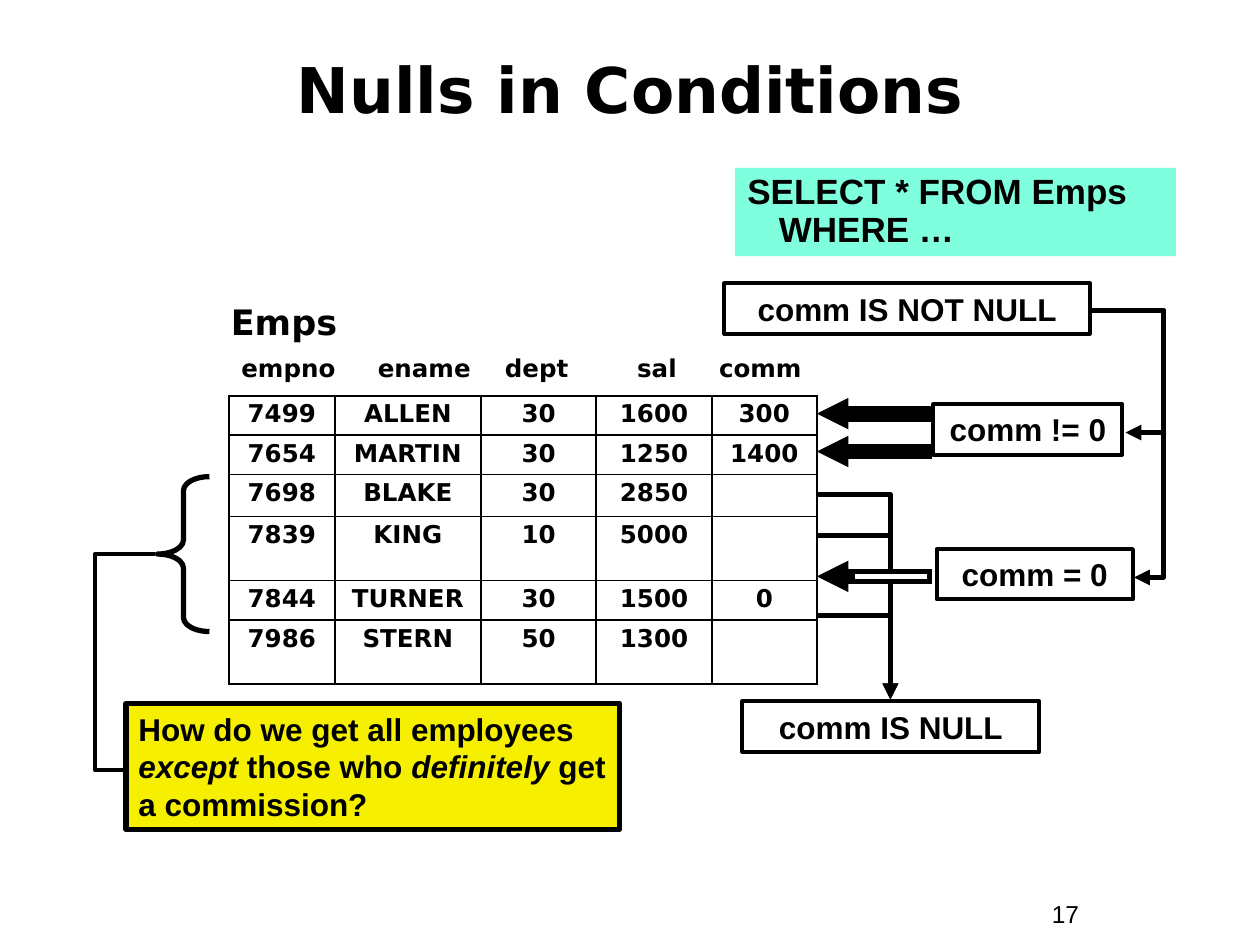
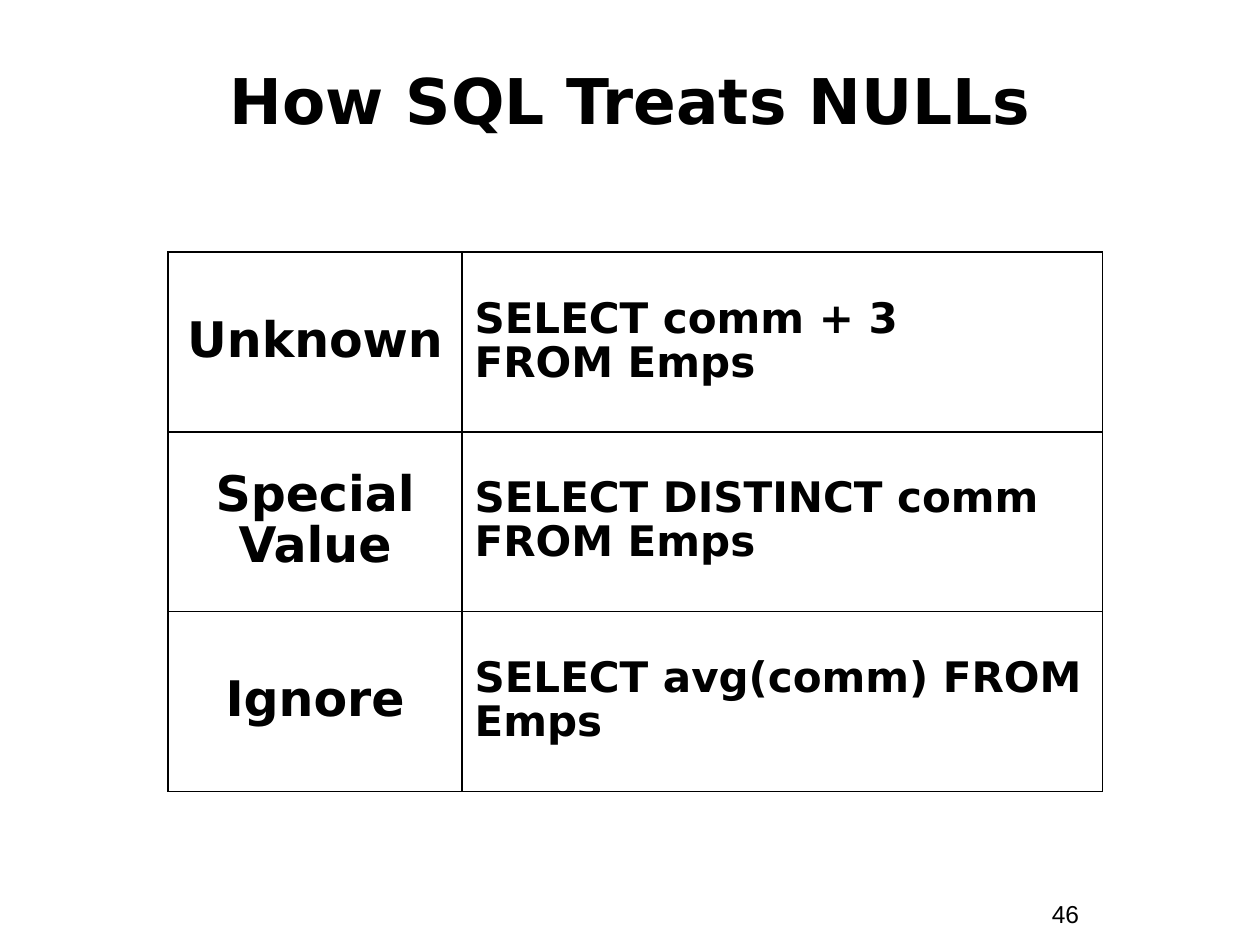
"""Build two slides on how SQL handles NULL values."""
from dataclasses import dataclass

import pptx
import pptx.dml.color
import pptx.enum.shapes
import pptx.enum.text
import pptx.oxml.ns
import pptx.util
from lxml import etree

SHAPE = pptx.enum.shapes.MSO_SHAPE
CONNECTOR = pptx.enum.shapes.MSO_CONNECTOR
ALIGN = pptx.enum.text.PP_ALIGN
ANCHOR = pptx.enum.text.MSO_ANCHOR
qn = pptx.oxml.ns.qn


@dataclass(frozen=True)
class Theme:
    """Colours, fonts, type sizes and line weights of the deck."""
    ink: str = "000000"
    paper: str = "FFFFFF"
    query: str = "7FFFDD"
    question: str = "F6F000"
    sans: str = "Arial"
    display: str = "DejaVu Sans"
    title: int = 36
    term: int = 28
    sql: int = 24
    heading: int = 20
    label: int = 18
    small: int = 14
    border: float = 1.08
    thin: float = 2.25
    medium: float = 3
    thick: float = 9
    tight: float = 0.9


T = Theme()
COLUMNS, ROWS = 120, 90
WIDTH, HEIGHT = pptx.util.Inches(10), pptx.util.Inches(7.5)


def gx(columns):
    """Return the length of a number of grid columns."""
    return round(WIDTH * columns / COLUMNS)


def gy(rows):
    """Return the length of a number of grid rows."""
    return round(HEIGHT * rows / ROWS)


def box(x, y, w, h):
    """Turn a grid box into slide lengths."""
    return gx(x), gy(y), gx(w), gy(h)


def rgb(colour):
    """Return a colour object for a hex string."""
    return pptx.dml.color.RGBColor.from_string(colour)


def write(tf, text, size=T.label, font=T.sans, bold=True, align=ALIGN.LEFT,
          spacing=None, hanging=0, tabs=()):
    """Fill a text frame; in a list of parts every second one is italic."""
    p = tf.paragraphs[0]
    p.alignment = align
    if spacing:
        p.line_spacing = spacing
    pPr = p._p.get_or_add_pPr()
    if hanging:
        pPr.set("marL", str(gx(hanging)))
        pPr.set("indent", str(-gx(hanging)))
    if tabs:
        tab_list = etree.SubElement(pPr, qn("a:tabLst"))
        for tab in tabs:
            etree.SubElement(tab_list, qn("a:tab"), pos=str(gx(tab)), algn="l")
    for i, part in enumerate([text] if isinstance(text, str) else text):
        for j, line in enumerate(part.split("\n")):
            if j:
                p.add_line_break()
            if line:
                r = p.add_run()
                r.text = line
                r.font.size = pptx.util.Pt(size)
                r.font.name = font
                r.font.bold = bold
                r.font.italic = i % 2 == 1
                r.font.color.rgb = rgb(T.ink)
    etree.SubElement(p._p, qn("a:endParaRPr"), sz=str(size * 100))


def add_text(s, text, area, **fmt):
    """Add a wrapping text box."""
    tf = s.shapes.add_textbox(*box(*area)).text_frame
    tf.word_wrap = True
    write(tf, text, **fmt)


def add_box(s, text, area, fill=None, line=T.thin, **fmt):
    """Add a rectangle with text, optionally filled or outlined."""
    sp = s.shapes.add_shape(SHAPE.RECTANGLE, *box(*area))
    sp.shadow.inherit = False
    if fill:
        sp.fill.solid()
        sp.fill.fore_color.rgb = rgb(fill)
    else:
        sp.fill.background()
    if line:
        sp.line.color.rgb = rgb(T.ink)
        sp.line.width = pptx.util.Pt(line)
    else:
        sp.line.fill.background()
    sp.text_frame.word_wrap = True
    sp.text_frame.vertical_anchor = ANCHOR.TOP
    write(sp.text_frame, text, **fmt)


def add_brace(s, area):
    """Add a left brace."""
    sp = s.shapes.add_shape(SHAPE.LEFT_BRACE, *box(*area))
    sp.shadow.inherit = False
    sp.adjustments[0] = 0.27
    sp.fill.background()
    sp.line.color.rgb = rgb(T.ink)
    sp.line.width = pptx.util.Pt(T.medium)


def add_line(s, start, end, width=T.medium, colour=T.ink, head=None,
             kind=CONNECTOR.STRAIGHT):
    """Add a connector, with an arrowhead of the given size at its end."""
    c = s.shapes.add_connector(kind, gx(start[0]), gy(start[1]),
                               gx(end[0]), gy(end[1]))
    c.line.color.rgb = rgb(colour)
    c.line.width = pptx.util.Pt(width)
    if head:
        etree.SubElement(c.line._get_or_add_ln(), qn("a:tailEnd"),
                         type="triangle", w=head, len=head)
    etree.SubElement(c._element.spPr, qn("a:effectLst"))
    return c


def add_elbow(s, start, end, via=None, **fmt):
    """Add a bent connector with one corner, or two at column via."""
    c = add_line(s, start, end, kind=CONNECTOR.ELBOW, **fmt)
    geom = c._element.spPr.find(qn("a:prstGeom"))
    if via is None:
        geom.set("prst", "bentConnector2")
        return
    guides = geom.find(qn("a:avLst"))
    if guides is None:
        guides = etree.SubElement(geom, qn("a:avLst"))
    share = (via - start[0]) / (end[0] - start[0])
    etree.SubElement(guides, qn("a:gd"), name="adj1",
                     fmla=f"val {round(share * 100000)}")


def format_cell(cell):
    """Clear a cell's fill and draw its four borders."""
    cell.fill.background()
    tcPr = cell._tc.get_or_add_tcPr()
    for i, side in enumerate(("lnL", "lnR", "lnT", "lnB")):
        ln = etree.Element(qn(f"a:{side}"), w=str(pptx.util.Pt(T.border)))
        fill = etree.SubElement(ln, qn("a:solidFill"))
        etree.SubElement(fill, qn("a:srgbClr"), val=T.ink)
        tcPr.insert(i, ln)


def add_table(s, rows, corner, widths, heights, formats, anchor=ANCHOR.TOP):
    """Add a bordered table with one text format for each column."""
    area = box(*corner, sum(widths), sum(heights))
    table = s.shapes.add_table(len(rows), len(widths), *area).table
    table.first_row = table.horz_banding = False
    for column, width in zip(table.columns, widths):
        column.width = gx(width)
    for i, (row, height) in enumerate(zip(rows, heights)):
        table.rows[i].height = gy(height)
        for j, (text, fmt) in enumerate(zip(row, formats)):
            cell = table.cell(i, j)
            cell.vertical_anchor = anchor
            format_cell(cell)
            write(cell.text_frame, text, font=T.display, spacing=T.tight, **fmt)


def add_slide(prs, title, number, title_area):
    """Add a slide with its title and page number."""
    s = prs.slides.add_slide(prs.slide_layouts[5])
    sp = s.shapes.title
    sp.left, sp.top, sp.width, sp.height = box(*title_area)
    tf = sp.text_frame
    tf.vertical_anchor = ANCHOR.MIDDLE
    tf.auto_size = pptx.enum.text.MSO_AUTO_SIZE.NONE
    write(tf, title, size=T.title, font=T.display, align=ALIGN.CENTER)
    add_text(s, number, (99, 85, 11, 4.1), size=T.small, bold=False)
    return s


def build_conditions(prs):
    """Show which rows each condition on comm selects."""
    s = add_slide(prs, "Nulls in Conditions", "17", (4, 5.2, 112, 6.4))
    add_text(s, "Emps", (20.8, 28, 28, 5.3), size=T.heading, font=T.display)
    add_text(s, "empno\tename\tdept\tsal\tcomm", (21.8, 33, 57, 4.1),
             size=T.small, font=T.display, tabs=(13, 25.1, 37.7, 45.5))
    employees = [
        ("7499", "ALLEN", "30", "1600", "300"),
        ("7654", "MARTIN", "30", "1250", "1400"),
        ("7698", "BLAKE", "30", "2850", ""),
        ("7839", "KING", "10", "5000", ""),
        ("7844", "TURNER", "30", "1500", "0"),
        ("7986", "STERN", "50", "1300", ""),
    ]
    low, tall = 3.75, 6.1
    add_table(s, employees, (21.8, 37.7), (10.1, 13.9, 11, 11, 10),
              (low, low, low, tall, low, tall),
              [dict(size=T.small, align=ALIGN.CENTER)] * 5)

    add_box(s, "SELECT * FROM Emps\nWHERE …", (70, 16, 42, 8.4), fill=T.query,
            line=None, size=T.heading, spacing=T.tight, hanging=3)
    conditions = [
        ("comm IS NOT NULL", 69, 27, 34.8),
        ("comm != 0", 88.9, 38.5, 18),
        ("comm = 0", 89.2, 52.3, 18.7),
        ("comm IS NULL", 70.7, 66.8, 28.3),
    ]
    for text, x, y, w in conditions:
        add_box(s, text, (x, y, w, 4.8), align=ALIGN.CENTER)

    table_edge, box_edge = 77.8, 88.8
    for y in (47.1, 51, 58.6):
        add_elbow(s, (table_edge, y), (84.8, 66.6), head="med")
    for y in (39.4, 43, 54.9):
        add_line(s, (box_edge, y), (table_edge, y), width=T.thick, head="sm")
    add_line(s, (81.4, 54.9), (88.3, 54.9), colour=T.paper)
    for end in ((107.2, 41.2), (108, 55)):
        add_elbow(s, (104, 29.6), end, via=110.8, head="med")

    question = ("How do we get all employees ", "except", " those who ",
                "definitely", " get a commission?")
    add_box(s, question, (12, 67, 47, 12), fill=T.question, line=T.medium)
    add_brace(s, (15, 45.4, 4.95, 14.75))
    add_elbow(s, (11.8, 73.3), (14.8, 52.8), via=9, width=T.thin)


def build_treatments(prs):
    """List the three ways SQL treats NULL."""
    s = add_slide(prs, "How SQL Treats NULLs", "46", (4, 4, 112, 11))
    treatments = [
        ("Unknown", "SELECT comm + 3\nFROM Emps"),
        ("Special Value", "SELECT DISTINCT comm FROM Emps"),
        ("Ignore", "SELECT avg(comm) FROM Emps"),
    ]
    add_table(s, treatments, (16, 24), (28, 61), [17.13] * 3,
              [dict(size=T.term, align=ALIGN.CENTER), dict(size=T.sql)],
              anchor=ANCHOR.MIDDLE)


def main():
    """Build and save the deck."""
    prs = pptx.Presentation()
    prs.slide_width, prs.slide_height = WIDTH, HEIGHT
    build_conditions(prs)
    build_treatments(prs)
    prs.save("out.pptx")


if __name__ == "__main__":
    main()
